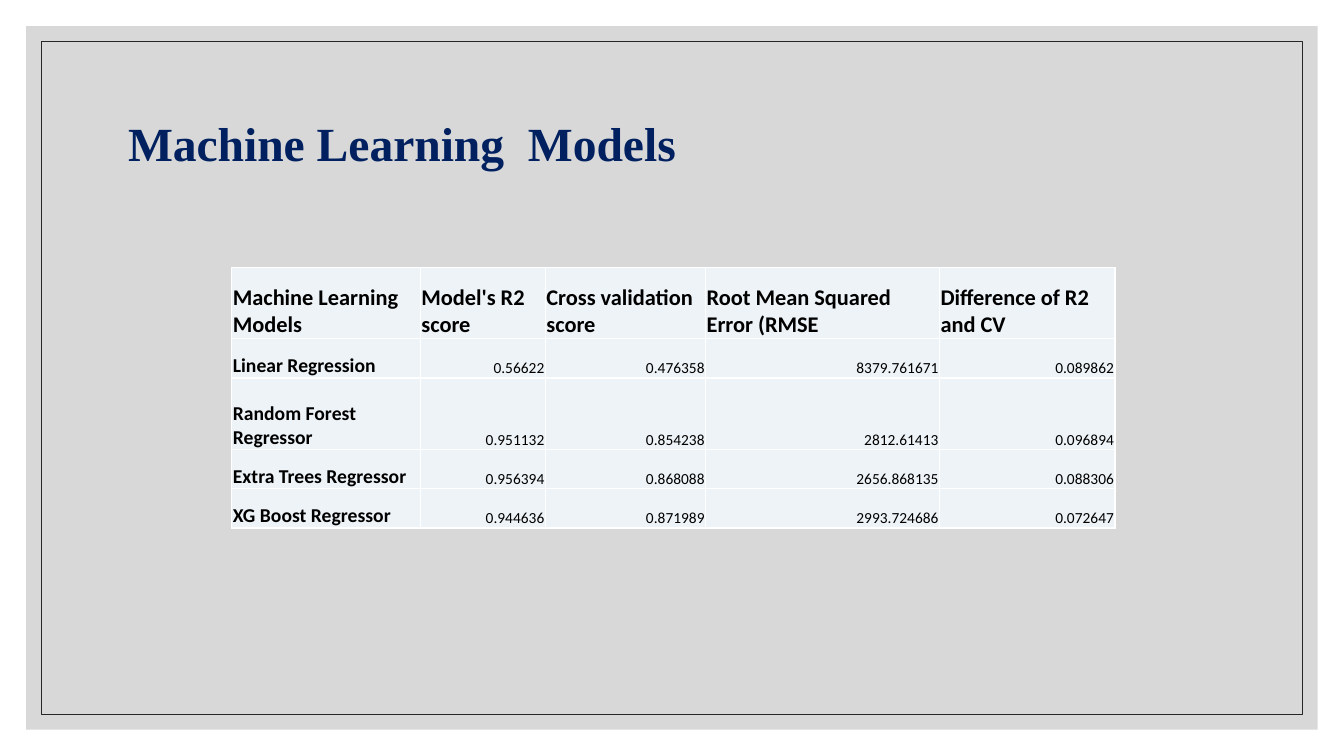
import lxml.etree
import pptx
import pptx.dml.color
import pptx.enum.shapes
import pptx.enum.text
import pptx.oxml.ns
import pptx.util

# Content
TITLE = "Machine Learning  Models"
ROWS = [
    ("Machine Learning Models", "Model's R2 score", "Cross validation score",
     "Root Mean Squared Error (RMSE", "Difference of R2 and CV"),
    ("Linear Regression", "0.56622", "0.476358", "8379.761671", "0.089862"),
    ("Random Forest Regressor", "0.951132", "0.854238", "2812.61413", "0.096894"),
    ("Extra Trees Regressor", "0.956394", "0.868088", "2656.868135", "0.088306"),
    ("XG Boost Regressor", "0.944636", "0.871989", "2993.724686", "0.072647"),
]
COLORS = {"panel": "BFBFBF", "frame": "262626", "title": "002060",
          "cell": "EEF3F7", "rule": "FFFFFF", "text": "000000"}

# Layout in inches
WIDE, HIGH = 13.33, 7.5
COLS = [1.87, 1.24, 1.59, 2.32, 1.74]
TALL, LOW = 0.71, 0.39
LINES = [TALL, LOW, TALL, LOW, LOW]
LEFT, TOP = 2.3, 2.65

inch = pptx.util.Inches
point = pptx.util.Pt
qn = pptx.oxml.ns.qn
ALIGN = pptx.enum.text.PP_ALIGN
ANCHOR = pptx.enum.text.MSO_ANCHOR


def color(name):
    return pptx.dml.color.RGBColor.from_string(COLORS[name])


def style(para, size, face, name, bold):
    for run in para.runs:
        font = run.font
        font.size, font.name, font.bold = point(size), face, bold
        font.color.rgb = color(name)


def add_rect(slide, edge):
    """Add a rectangle inset by the same edge on all sides."""
    rect = slide.shapes.add_shape(
        pptx.enum.shapes.MSO_SHAPE.RECTANGLE, inch(edge), inch(edge),
        inch(WIDE - 2 * edge), inch(HIGH - 2 * edge))
    rect.shadow.inherit = False
    return rect


def add_rules(cell):
    """Draw the four cell borders."""
    props = cell._tc.get_or_add_tcPr()
    for side in ("lnL", "lnR", "lnT", "lnB"):
        line = lxml.etree.SubElement(props, qn("a:" + side), w=str(point(1)))
        fill = lxml.etree.SubElement(line, qn("a:solidFill"))
        lxml.etree.SubElement(fill, qn("a:srgbClr"), val=COLORS["rule"])


def fill_cell(cell, text, row, col):
    add_rules(cell)
    cell.fill.solid()
    cell.fill.fore_color.rgb = color("cell")
    cell.margin_left = cell.margin_right = cell.margin_top = inch(0.01)
    cell.margin_bottom = 0
    cell.vertical_anchor = ANCHOR.BOTTOM
    cell.text_frame.text = text
    para = cell.text_frame.paragraphs[0]
    label = row == 0 or col == 0
    para.alignment = ALIGN.LEFT if label else ALIGN.RIGHT
    size = 16 if row == 0 else 14 if col == 0 else 11
    style(para, size, "Calibri", "text", label)


def main():
    deck = pptx.Presentation()
    deck.slide_width, deck.slide_height = inch(WIDE), inch(HIGH)
    slide = deck.slides.add_slide(deck.slide_layouts[5])

    # Title
    title = slide.shapes.title
    title.left, title.top = inch(1.17), inch(0.7)
    title.width, title.height = inch(11), inch(1.5)
    frame = title.text_frame
    frame.text = TITLE
    frame.word_wrap = True
    frame.auto_size = pptx.enum.text.MSO_AUTO_SIZE.NONE
    frame.vertical_anchor = ANCHOR.MIDDLE
    para = frame.paragraphs[0]
    para.alignment, para.line_spacing = ALIGN.LEFT, 0.9
    style(para, 34, "Times New Roman", "title", True)

    # Panel and frame, behind the title
    panel = add_rect(slide, 0.26)
    panel.fill.solid()
    panel.fill.fore_color.rgb = color("panel")
    panel.line.fill.background()
    tint = next(panel.element.iter(qn("a:srgbClr")))
    lxml.etree.SubElement(tint, qn("a:alpha"), val="60000")
    border = add_rect(slide, 0.41)
    border.fill.background()
    border.line.color.rgb = color("frame")
    border.line.width = point(0.5)
    for rect in (panel, border):
        title.element.addprevious(rect.element)

    # Table of scores
    table = slide.shapes.add_table(
        len(ROWS), len(COLS), inch(LEFT), inch(TOP),
        inch(sum(COLS)), inch(sum(LINES))).table
    table.first_row = table.horz_banding = False
    for col, width in enumerate(COLS):
        table.columns[col].width = inch(width)
    for row, texts in enumerate(ROWS):
        table.rows[row].height = inch(LINES[row])
        for col, text in enumerate(texts):
            fill_cell(table.cell(row, col), text, row, col)

    deck.save("out.pptx")


if __name__ == "__main__":
    main()
